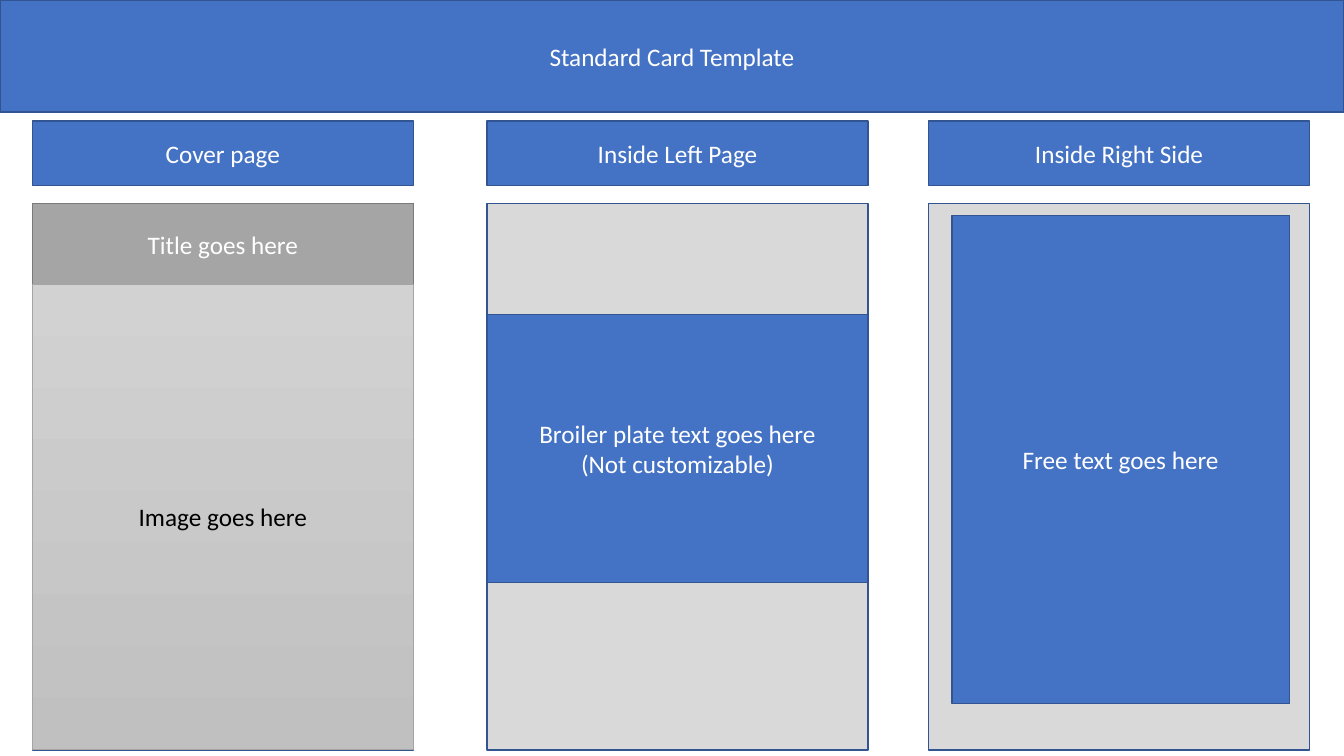
from pptx import Presentation
from pptx.dml.color import RGBColor
from pptx.enum.shapes import MSO_SHAPE
from pptx.enum.text import MSO_ANCHOR, PP_ALIGN
from pptx.util import Inches, Pt

RECTANGLE = MSO_SHAPE.RECTANGLE
MIDDLE = MSO_ANCHOR.MIDDLE
CENTER = PP_ALIGN.CENTER

COLORS = {
    "blue": "4472C4",
    "blue edge": "325491",
    "page": "D9D9D9",
    "title": "A5A5A5",
    "title edge": "7A7A7A",
    "image top": "D2D2D2",
    "image bottom": "C0C0C0",
    "white": "FFFFFF",
    "black": "000000",
}


def color(name):
    return RGBColor.from_string(COLORS[name])


def add_box(shapes, left, top, width, height, lines=(), fill="blue",
            edge="blue edge", ink="white"):
    """Add an outlined rectangle with one centred paragraph per line."""
    box = shapes.add_shape(RECTANGLE, Inches(left), Inches(top),
                           Inches(width), Inches(height))
    box.shadow.inherit = False
    box.fill.solid()
    box.fill.fore_color.rgb = color(fill)
    box.line.color.rgb = color(edge)
    box.line.width = Pt(1)
    frame = box.text_frame
    frame.word_wrap = True
    frame.vertical_anchor = MIDDLE
    for index, line in enumerate(lines):
        para = frame.add_paragraph() if index else frame.paragraphs[0]
        para.text = line
        para.alignment = CENTER
        para.font.name = "Calibri"
        para.font.size = Pt(18)
        para.font.color.rgb = color(ink)
    return box


deck = Presentation()
deck.slide_width = Inches(13.33)
deck.slide_height = Inches(7.5)
slide = deck.slides.add_slide(deck.slide_layouts[6])

add_box(slide.shapes, 0, 0, 13.33, 1.11, ["Standard Card Template"])

# Three card pages, each under its heading
COVER_LEFT, INSIDE_LEFT, INSIDE_RIGHT = 0.32, 4.83, 9.21
PAGE_TOP, PAGE_WIDTH, PAGE_HEIGHT = 2.02, 3.78, 5.42
headings = {
    "Cover page": COVER_LEFT,
    "Inside Left Page": INSIDE_LEFT,
    "Inside Right Side": INSIDE_RIGHT,
}
cards = []
for heading, left in headings.items():
    add_box(slide.shapes, left, 1.2, PAGE_WIDTH, 0.64, [heading])
    card = slide.shapes.add_group_shape().shapes
    add_box(card, left, PAGE_TOP, PAGE_WIDTH, PAGE_HEIGHT, fill="page")
    cards.append(card)
cover, inside_left, inside_right = cards

# Cover: title band above the image area
add_box(cover, COVER_LEFT, PAGE_TOP, PAGE_WIDTH, 0.81, ["Title goes here"],
        fill="title", edge="title edge")
image_area = add_box(cover, COVER_LEFT, 2.82, PAGE_WIDTH, 4.61,
                     ["Image goes here"], edge="title", ink="black")
image_area.line.width = Pt(0.5)
image_area.fill.gradient()
image_area.fill.gradient_angle = 270
for stop, name in zip(image_area.fill.gradient_stops,
                      ("image top", "image bottom")):
    stop.color.rgb = color(name)
for stop, position in zip(image_area.fill.gradient_stops, (0, 1)):
    stop.position = position

# Inside pages: fixed text on the left, free text on the right
add_box(inside_left, INSIDE_LEFT, 3.12, PAGE_WIDTH, 2.66,
        ["Broiler plate text goes here", "(Not customizable)"])
add_box(inside_right, 9.44, 2.14, 3.35, 4.84, ["Free text goes here"])

deck.save("out.pptx")
